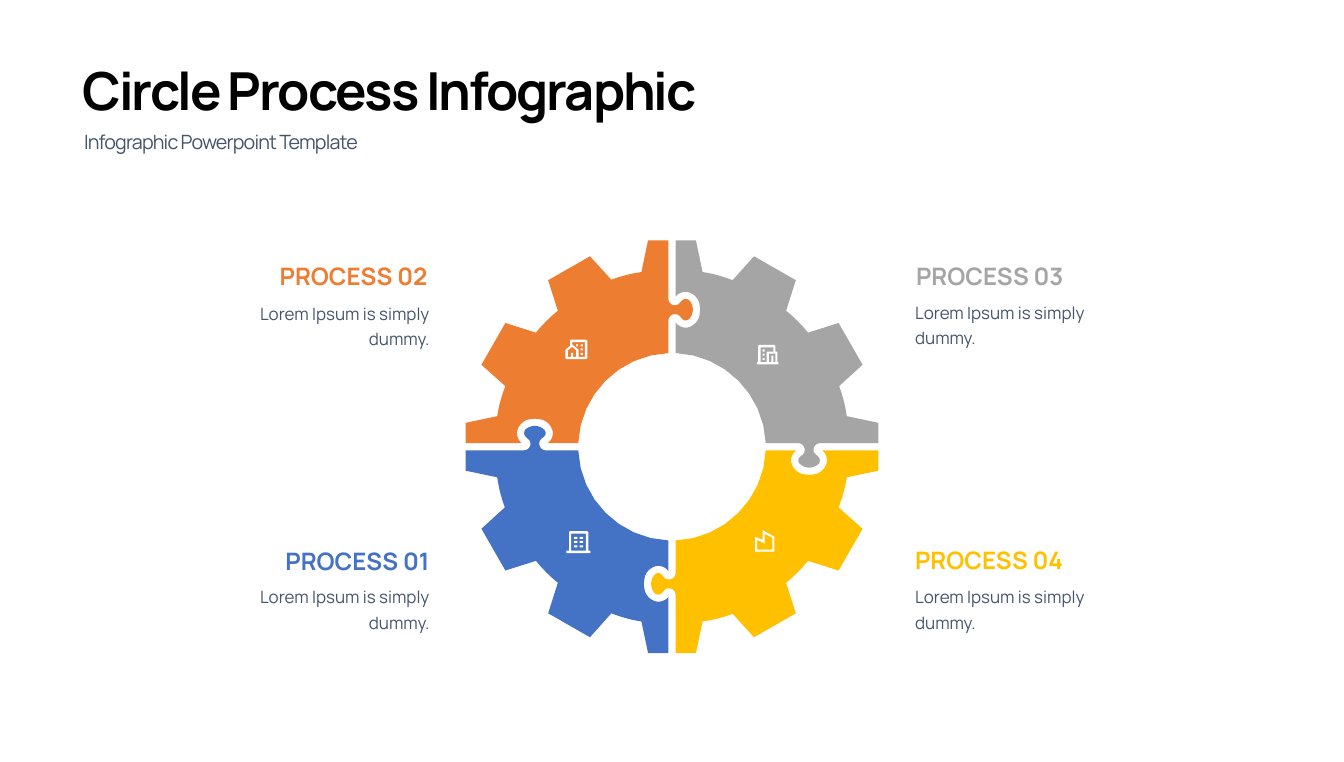
from dataclasses import dataclass

from pptx import Presentation
from pptx.dml.color import RGBColor
from pptx.enum.text import MSO_ANCHOR, MSO_AUTO_SIZE, PP_ALIGN
from pptx.util import Cm, Pt

FONT = "Manrope"
SLATE = "44546A"
WHITE = "FFFFFF"
GRID = 0.0254  # cm per unit of the outlines below
CENTRE = (33.5, 22.28)  # gear centre, cm
CURVE_STEPS = 8
CAPTION = "Lorem Ipsum is simply dummy."

Point = tuple[float, float]
Contour = list[Point]

# Top-left gear piece, around the gear centre: pairs are line ends,
# sextets are two control points and a curve end
GEAR_PIECE = [
    (39, -279), (37, -284, 34, -290, 28, -290), (23, -291, 19, -287, 16, -283),
    (9, -273, -7, -278, -7, -291), (-7, -405), (-47, -405), (-60, -343),
    (-81, -340, -101, -335, -119, -328), (-161, -374), (-243, -327), (-224, -267),
    (-240, -254, -254, -240, -267, -224), (-327, -243), (-374, -161), (-327, -119),
    (-334, -101, -340, -81, -343, -60), (-405, -47), (-405, -7), (-295, -7),
    (-302, -13, -305, -22, -304, -30), (-302, -40, -295, -49, -284, -53),
    (-280, -54, -274, -55, -269, -55), (-264, -55, -259, -54, -254, -53),
    (-243, -49, -236, -40, -234, -30), (-233, -22, -236, -13, -244, -7),
    (-184, -7), (-180, -103, -103, -180, -7, -184), (-7, -248),
    (-7, -260, 9, -265, 16, -256), (19, -252, 23, -247, 28, -248),
    (34, -249, 37, -255, 39, -259), (40, -262, 41, -266, 41, -269),
    (41, -273, 40, -276, 39, -279),
]


def window(x: float, y: float, width: float = 4, height: float = 4) -> Contour:
    return [(x, y), (x + width, y), (x + width, y + height), (x, y + height)]


# Icons: outer wall first, then openings and windows
OFFICE = [
    [(43, 38), (47, 38), (47, 43), (0, 43), (0, 38), (5, 38), (5, 2), (7, 0), (41, 0), (43, 2)],
    [(38, 38), (38, 5), (9, 5), (9, 38)],
    *[window(x, y, 6.5) for x in (15, 26) for y in (11, 19, 28)],
]
HOUSE = [
    [(40, 38), (2, 38), (0, 36), (0, 20), (1, 19), (9, 12), (9, 2), (11, 0), (40, 0),
     (43, 2), (43, 36)],
    [(15, 34), (21, 34), (21, 21), (13, 14), (5, 21), (5, 34), (11, 34), (11, 26), (15, 26)],
    [(26, 34), (38, 34), (38, 5), (13, 5), (13, 9), (14, 10), (25, 19), (26, 20)],
    *[window(x, y) for x, y in ((30, 17), (30, 26), (30, 9), (21, 9))],
]
SHOP = [
    [(42, 38), (0, 38), (0, 34), (2, 34), (2, 2), (4, 0), (34, 0), (36, 2), (36, 13),
     (40, 13), (40, 34), (42, 34)],
    [(32, 34), (36, 34), (36, 17), (23, 17), (23, 34), (28, 34), (28, 21), (32, 21)],
    [(32, 13), (32, 5), (7, 5), (7, 34), (19, 34), (19, 13)],
    *[window(11, y) for y in (9, 17, 26)],
]
FACTORY = [
    [(15, 19), (15, 0), (38, 13), (38, 42), (0, 42), (0, 13)],
    [(19, 7), (19, 26), (4, 19), (4, 38), (34, 38), (34, 15)],
]


@dataclass
class Stage:
    heading: str
    colour: str
    quarter_turns: int  # clockwise from the top-left piece
    icon: list[Contour]
    icon_at: Point
    heading_at: Point
    caption_at: Point
    align: PP_ALIGN


STAGES = [
    Stage("PROCESS 02", "ED7D31", 0, HOUSE, (28.19, 16.94),
          (11.48, 12.85), (11.58, 14.66), PP_ALIGN.RIGHT),
    Stage("PROCESS 01", "4472C4", 3, OFFICE, (28.24, 26.49),
          (11.58, 27.05), (11.58, 28.8), PP_ALIGN.RIGHT),
    Stage("PROCESS 04", "FFC000", 2, FACTORY, (37.64, 26.44),
          (45.21, 27), (45.21, 28.8), PP_ALIGN.LEFT),
    Stage("PROCESS 03", "A5A5A5", 1, SHOP, (37.74, 17.2),
          (45.26, 12.85), (45.21, 14.61), PP_ALIGN.LEFT),
]


def rgb(colour: str) -> RGBColor:
    return RGBColor.from_string(colour)


def flatten(outline: list[tuple]) -> Contour:
    """Turn line ends and curves into a chain of points."""
    points = [outline[0]]
    for part in outline[1:]:
        if len(part) == 2:
            points.append(part)
            continue
        start, c1, c2, end = points[-1], part[:2], part[2:4], part[4:]
        for step in range(1, CURVE_STEPS + 1):
            t = step / CURVE_STEPS
            weights = ((1 - t) ** 3, 3 * t * (1 - t) ** 2, 3 * t * t * (1 - t), t ** 3)
            points.append(tuple(
                sum(w * p[axis] for w, p in zip(weights, (start, c1, c2, end)))
                for axis in (0, 1)))
    return points


def rotate(points: Contour, quarter_turns: int) -> Contour:
    for _ in range(quarter_turns):
        points = [(-y, x) for x, y in points]
    return points


def draw_outline(slide, contours: list[Contour], origin: Point, colour: str) -> None:
    placed = [[(Cm(origin[0] + x * GRID), Cm(origin[1] + y * GRID)) for x, y in contour]
              for contour in contours]
    builder = slide.shapes.build_freeform(*placed[0][0])
    for index, contour in enumerate(placed):
        if index:
            builder.move_to(*contour[0])
        builder.add_line_segments(contour[1:], close=True)
    outline = builder.convert_to_shape()
    outline.shadow.inherit = False
    outline.fill.solid()
    outline.fill.fore_color.rgb = rgb(colour)
    outline.line.fill.background()


def write(box, text: str, *, size: float, colour: str, bold: bool = False,
          align: PP_ALIGN = PP_ALIGN.LEFT, anchor: MSO_ANCHOR = MSO_ANCHOR.TOP,
          line: float | None = None, spacing: int = 0,
          inset: Point = (0.25, 0.13)) -> None:
    frame = box.text_frame
    frame.word_wrap = True
    frame.auto_size = MSO_AUTO_SIZE.NONE
    frame.vertical_anchor = anchor
    frame.margin_left = frame.margin_right = Cm(inset[0])
    frame.margin_top = frame.margin_bottom = Cm(inset[1])
    paragraph = frame.paragraphs[0]
    paragraph.alignment = align
    if line:
        paragraph.line_spacing = Pt(line)
    run = paragraph.add_run()
    run.text = text
    run.font.name = FONT
    run.font.size = Pt(size)
    run.font.bold = bold
    run.font.color.rgb = rgb(colour)
    if spacing:
        run.font._element.set("spc", str(spacing))


def add_box(slide, at: Point, width: float, height: float):
    return slide.shapes.add_textbox(Cm(at[0]), Cm(at[1]), Cm(width), Cm(height))


def draw_stage(slide, stage: Stage) -> None:
    piece = rotate(flatten(GEAR_PIECE), stage.quarter_turns)
    draw_outline(slide, [piece], CENTRE, stage.colour)
    draw_outline(slide, stage.icon, stage.icon_at, WHITE)
    write(add_box(slide, stage.heading_at, 10.24, 1.85), stage.heading, size=34,
          colour=stage.colour, bold=True, align=stage.align,
          anchor=MSO_ANCHOR.BOTTOM, inset=(0.41, 0.2))
    write(add_box(slide, stage.caption_at, 10.24, 2.9), CAPTION, size=24,
          colour=SLATE, align=stage.align, line=36, inset=(0.41, 0.2))


def main() -> None:
    deck = Presentation()
    deck.slide_width, deck.slide_height = Cm(67), Cm(38)
    slide = deck.slides.add_slide(deck.slide_layouts[5])

    # Title and subtitle
    title = slide.shapes.title
    title.left, title.top, title.width, title.height = Cm(3.86), Cm(2.59), Cm(51.4), Cm(3.5)
    write(title, "Circle Process Infographic", size=74, colour="000000", bold=True,
          line=94, spacing=-290)
    write(add_box(slide, (3.94, 6.02), 48.87, 1.65), "Infographic Powerpoint Template",
          size=27.8, colour=SLATE, line=42, spacing=-120)

    # Gear with its captions
    for stage in STAGES:
        draw_stage(slide, stage)

    deck.save("out.pptx")


if __name__ == "__main__":
    main()
